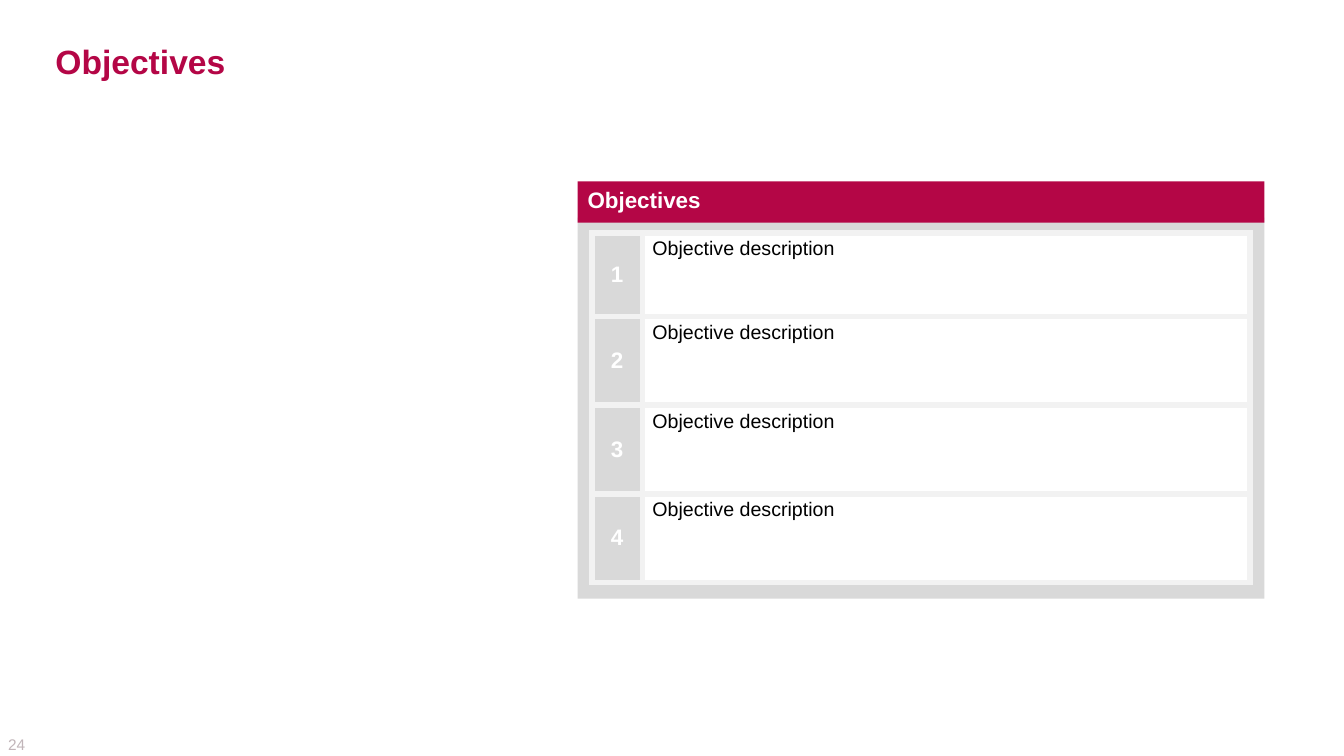
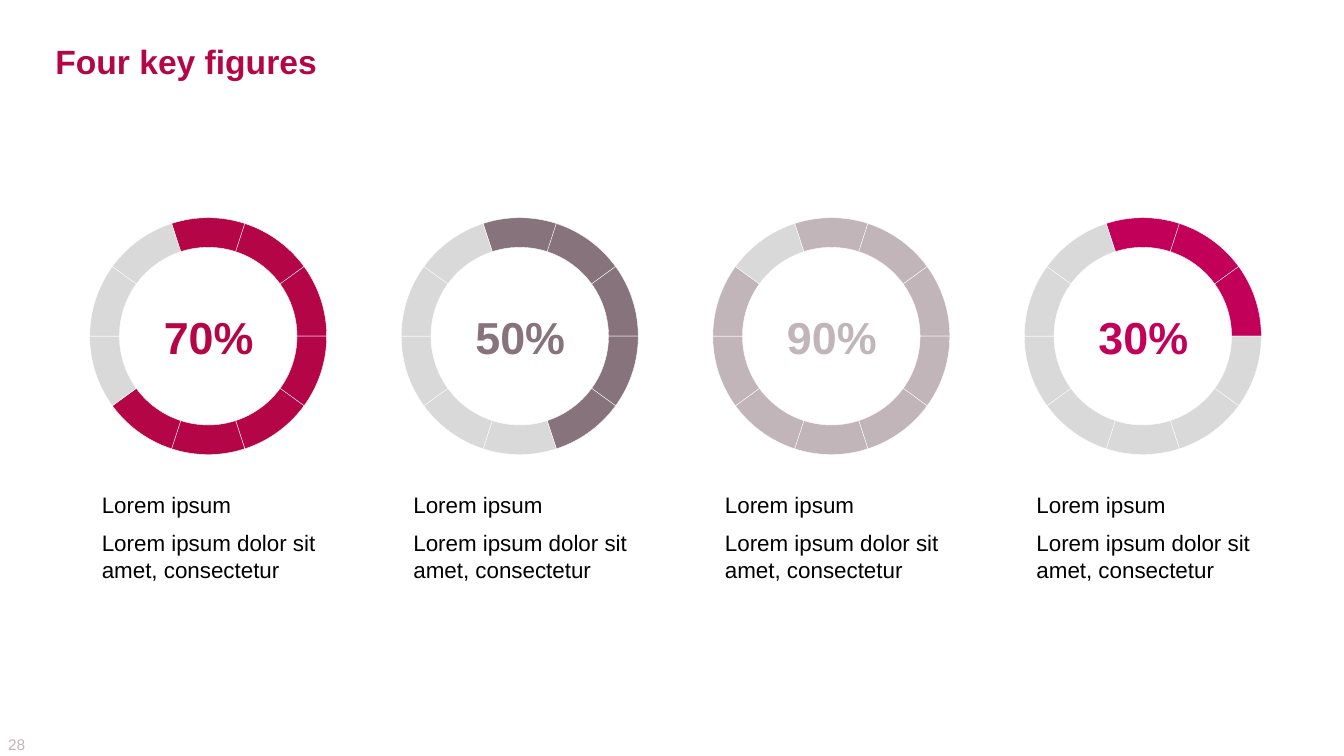
"""Build two slides: a numbered objectives table and four key figures as segmented rings."""
from lxml.etree import SubElement
from pptx import Presentation
from pptx.dml.color import RGBColor
from pptx.enum.shapes import MSO_SHAPE
from pptx.enum.text import MSO_ANCHOR, PP_ALIGN
from pptx.oxml.ns import qn
from pptx.util import Emu, Pt

PX = 9144
FONT = "Arial"
COLORS = {
    "crimson": "B40646",
    "mauve": "87737B",
    "rose": "C1B5B9",
    "magenta": "C2005A",
    "gray": "D9D9D9",
    "border": "F2F2F2",
    "white": "FFFFFF",
    "black": "000000",
}
SEGMENTS = 10
FIRST_ANGLE = 252
ADJ_PER_DEGREE = 0.6
RING_SIZE = 235
FIGURE_STEP = 309


def px(*lengths):
    return [Emu(n * PX) for n in lengths]


def rgb(name):
    return RGBColor.from_string(COLORS[name])


def write(tf, lines, size, color, bold=False, align=PP_ALIGN.LEFT, gap=0):
    for i, line in enumerate(lines):
        p = tf.add_paragraph() if i else tf.paragraphs[0]
        p.text = line
        p.alignment = align
        p.space_before = Pt(gap if i else 0)
        p.space_after = Pt(gap)
        p.font.name = FONT
        p.font.size = Pt(size)
        p.font.bold = bold
        p.font.color.rgb = rgb(color)


def set_frame(tf, anchor=MSO_ANCHOR.TOP, insets=(10, 5)):
    tf.word_wrap = True
    tf.vertical_anchor = anchor
    tf.margin_left, tf.margin_top = tf.margin_right, tf.margin_bottom = px(*insets)


def add_text(shapes, box, lines, size, color, anchor=MSO_ANCHOR.TOP, insets=(10, 5), **style):
    tf = shapes.add_textbox(*px(*box)).text_frame
    set_frame(tf, anchor, insets)
    write(tf, lines, size, color, **style)


def add_filled(shapes, kind, box, fill, line=None):
    sp = shapes.add_shape(kind, *px(*box))
    sp.shadow.inherit = False
    sp.fill.solid()
    sp.fill.fore_color.rgb = rgb(fill)
    if line:
        sp.line.color.rgb = rgb(line)
        sp.line.width = Pt(0.25)
    else:
        sp.line.fill.background()
    return sp


def add_slide(prs, title, number):
    s = prs.slides.add_slide(prs.slide_layouts[6])
    add_text(s.shapes, (8, 729, 39, 19), [number], 11, "rose", MSO_ANCHOR.MIDDLE, (0, 0))
    add_text(s.shapes, (47, 35, 1240, 51), [title], 24, "crimson", MSO_ANCHOR.MIDDLE, (8, 5), bold=True)
    return s


def set_borders(cell, color, width):
    tc_pr = cell._tc.get_or_add_tcPr()
    for side in ("lnL", "lnR", "lnT", "lnB"):
        ln = SubElement(tc_pr, qn(f"a:{side}"), w=str(Pt(width)))
        fill = SubElement(ln, qn("a:solidFill"))
        SubElement(fill, qn("a:srgbClr"), val=COLORS[color])


def fill_cell(cell, text, fill, anchor, **style):
    set_borders(cell, "border", 4.5)
    cell.fill.solid()
    cell.fill.fore_color.rgb = rgb(fill)
    cell.vertical_anchor = anchor
    write(cell.text_frame, [text], **style)


def add_objectives(s, descriptions):
    widths, heights = (50, 603), (83, 88, 88, 88)
    frame = s.shapes.add_table(len(heights), len(widths), *px(587, 231, sum(widths), sum(heights)))
    table = frame.table
    table.first_row = table.horz_banding = False
    for column, width in zip(table.columns, px(*widths)):
        column.width = width
    for row, height in zip(table.rows, px(*heights)):
        row.height = height
    for i, description in enumerate(descriptions):
        fill_cell(table.cell(i, 0), str(i + 1), "gray", MSO_ANCHOR.MIDDLE,
                  size=16, color="white", bold=True, align=PP_ALIGN.CENTER)
        fill_cell(table.cell(i, 1), description, "white", MSO_ANCHOR.TOP, size=14, color="black")


def add_ring(s, left, top, percent, color):
    shapes = s.shapes.add_group_shape().shapes
    sweep = 360 // SEGMENTS
    for i in range(SEGMENTS):
        fill = color if i < percent * SEGMENTS // 100 else "gray"
        sp = add_filled(shapes, MSO_SHAPE.BLOCK_ARC, (left, top, RING_SIZE, RING_SIZE), fill, "white")
        start = (FIRST_ANGLE + i * sweep) % 360
        end = (start + sweep) % 360
        sp.adjustments[0] = start * ADJ_PER_DEGREE
        sp.adjustments[1] = end * ADJ_PER_DEGREE
        sp.adjustments[2] = 0.125
    add_text(shapes, (left + 32, top + 86, 172, 64), [f"{percent}%"], 32, color,
             MSO_ANCHOR.MIDDLE, bold=True, align=PP_ALIGN.CENTER)


def build_objectives(prs):
    s = add_slide(prs, "Objectives", "24")
    add_filled(s.shapes, MSO_SHAPE.RECTANGLE, (573, 216, 681, 378), "gray")
    header = add_filled(s.shapes, MSO_SHAPE.RECTANGLE, (573, 180, 681, 41), "crimson")
    set_frame(header.text_frame)
    write(header.text_frame, ["Objectives"], 16, "white", bold=True)
    add_objectives(s, ["Objective description"] * 4)


def build_key_figures(prs):
    s = add_slide(prs, "Four key figures", "28")
    caption = ["Lorem ipsum", "Lorem ipsum dolor sit amet, consectetur"]
    figures = [(70, "crimson"), (50, "mauve"), (90, "rose"), (30, "magenta")]
    for i, (percent, color) in enumerate(figures):
        offset = i * FIGURE_STEP
        add_ring(s, 89 + offset, 216, percent, color)
        add_text(s.shapes, (81 + offset, 483, 252, 105), caption, 16, "black", insets=(20, 4), gap=4)


def main():
    prs = Presentation()
    prs.slide_width, prs.slide_height = px(1333, 750)
    build_objectives(prs)
    build_key_figures(prs)
    prs.save("out.pptx")


if __name__ == "__main__":
    main()
